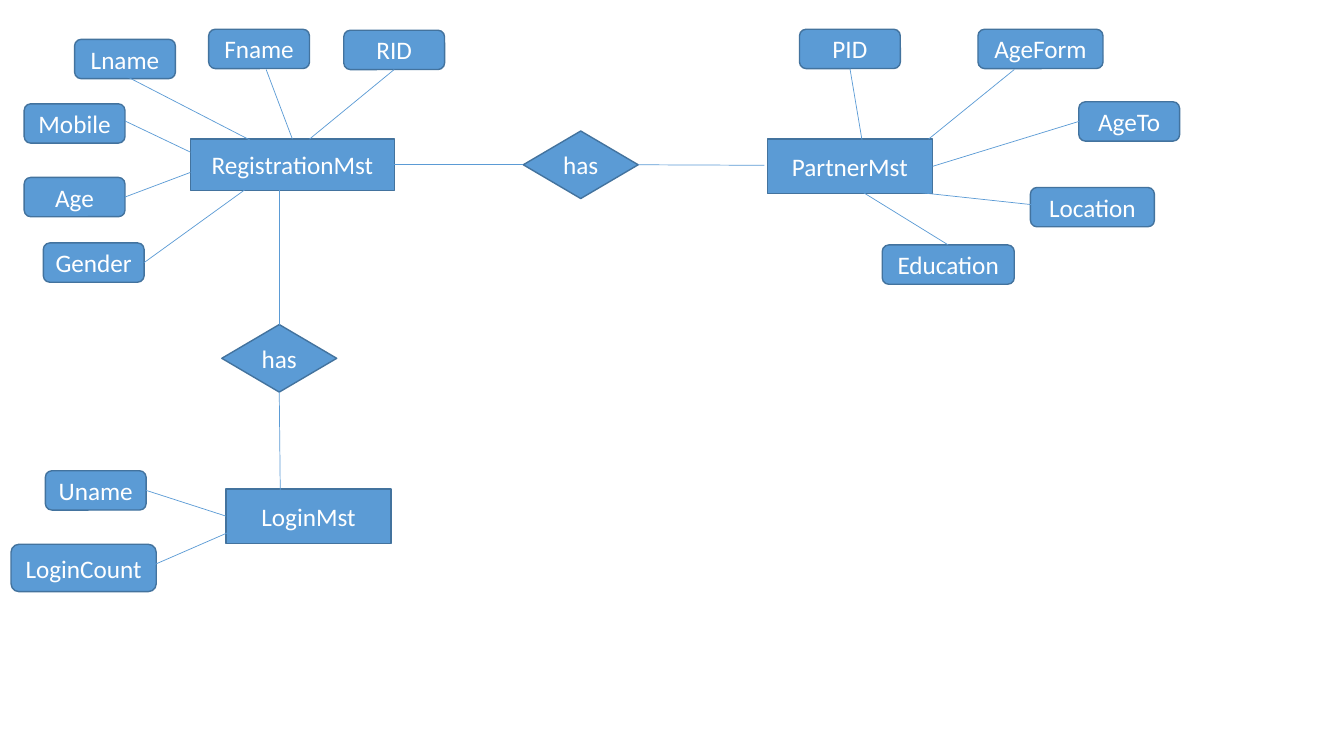
from dataclasses import dataclass
from enum import IntEnum

import pptx
import pptx.dml.color
import pptx.enum.shapes
import pptx.enum.text
import pptx.oxml.ns
import pptx.util
from lxml import etree

SLIDE_WIDTH, SLIDE_HEIGHT = pptx.util.Inches(13.33), pptx.util.Inches(7.5)
COLUMNS, ROWS = 133.3, 75
BLUE, DARK_BLUE, WHITE = "5B9BD5", "43739E", "FFFFFF"
SHAPES = pptx.enum.shapes.MSO_SHAPE


class Side(IntEnum):
    TOP = 0
    LEFT = 1
    BOTTOM = 2
    RIGHT = 3


@dataclass(frozen=True)
class Node:
    label: str
    left: float
    top: float
    width: float = 10
    height: float = 3.9
    kind: SHAPES = SHAPES.ROUNDED_RECTANGLE


@dataclass(frozen=True)
class Point:
    column: float
    row: float


@dataclass(frozen=True)
class Joint:
    node: Node
    side: Side


@dataclass(frozen=True)
class Link:
    start: Point | Joint
    end: Point | Joint


def entity(label: str, left: float, top: float, width: float = 16.4, height: float = 5.4) -> Node:
    return Node(label, left, top, width, height, SHAPES.RECTANGLE)


def relation(label: str, left: float, top: float) -> Node:
    return Node(label, left, top, 11.4, 6.7, SHAPES.FLOWCHART_DECISION)


registration = entity("RegistrationMst", 18.9, 13.8, 20.2, 5.1)
login = entity("LoginMst", 22.4, 48.5)
partner = entity("PartnerMst", 76.1, 13.8)

has_partner = relation("has", 51.9, 13)
has_login = relation("has", 22, 32.2)

rid = Node("RID", 34.1, 3)
fname = Node("Fname", 20.7, 2.9)
lname = Node("Lname", 7.4, 3.9)
mobile = Node("Mobile", 2.4, 10.3)
age = Node("Age", 2.4, 17.6)
gender = Node("Gender", 4.3, 24.1)
uname = Node("Uname", 4.5, 46.7)
login_count = Node("LoginCount", 1.1, 54, 14.4, 4.7)
pid = Node("PID", 79.3, 2.9)
age_from = Node("AgeForm", 97, 2.9, 12.4)
age_to = Node("AgeTo", 107, 10.1)
location = Node("Location", 102.2, 18.6, 12.3)
education = Node("Education", 87.5, 24.3, 13.1)

NODES = [
    registration, rid, fname, lname, mobile, age, gender,
    login, uname, login_count, has_partner,
    partner, pid, age_from, age_to, location, education, has_login,
]

LINKS = [
    Link(Joint(rid, Side.BOTTOM), Point(30.7, 13.8)),
    Link(Point(26.4, 6.9), Point(29, 13.8)),
    Link(Point(12.4, 7.5), Point(24.8, 13.9)),
    Link(Point(12.4, 12), Point(18.9, 15.1)),
    Link(Point(18.9, 17.1), Joint(age, Side.RIGHT)),
    Link(Point(24.6, 18.6), Joint(gender, Side.RIGHT)),
    Link(Joint(uname, Side.RIGHT), Joint(login, Side.LEFT)),
    Link(Point(14.2, 56.5), Point(22.7, 52.8)),
    Link(Point(27.7, 18.9), Joint(has_login, Side.TOP)),
    Link(Joint(has_login, Side.BOTTOM), Point(27.8, 49)),
    Link(Joint(registration, Side.RIGHT), Joint(has_partner, Side.LEFT)),
    Link(Joint(has_partner, Side.RIGHT), Point(75.8, 16.4)),
    Link(Joint(pid, Side.BOTTOM), Point(85.7, 15.1)),
    Link(Point(100.6, 6.9), Point(92.1, 13.8)),
    Link(Joint(age_to, Side.LEFT), Joint(partner, Side.RIGHT)),
    Link(Point(102.3, 20.3), Point(89.3, 18.9)),
    Link(Point(85.3, 18.9), Joint(education, Side.TOP)),
]


def x(columns: float) -> int:
    return round(SLIDE_WIDTH * columns / COLUMNS)


def y(rows: float) -> int:
    return round(SLIDE_HEIGHT * rows / ROWS)


def rgb(value: str) -> pptx.dml.color.RGBColor:
    return pptx.dml.color.RGBColor.from_string(value)


def write(frame, text: str, *, size: float = 18, color: str = WHITE, font: str = "Calibri") -> None:
    frame.vertical_anchor = pptx.enum.text.MSO_ANCHOR.MIDDLE
    paragraph = frame.paragraphs[0]
    paragraph.alignment = pptx.enum.text.PP_ALIGN.CENTER
    run = paragraph.add_run()
    run.text = text
    run.font.name = font
    run.font.size = pptx.util.Pt(size)
    run.font.color.rgb = rgb(color)


def draw_node(slide, node: Node):
    shape = slide.shapes.add_shape(
        node.kind, x(node.left), y(node.top), x(node.width), y(node.height))
    shape.shadow.inherit = False
    shape.fill.solid()
    shape.fill.fore_color.rgb = rgb(BLUE)
    shape.line.color.rgb = rgb(DARK_BLUE)
    shape.line.width = pptx.util.Pt(1)
    write(shape.text_frame, node.label)
    return shape


def position(end: Point | Joint) -> tuple[int, int]:
    if isinstance(end, Point):
        return x(end.column), y(end.row)
    across, down = {Side.TOP: (0.5, 0), Side.LEFT: (0, 0.5),
                    Side.BOTTOM: (0.5, 1), Side.RIGHT: (1, 0.5)}[end.side]
    node = end.node
    return x(node.left + across * node.width), y(node.top + down * node.height)


def draw_link(slide, link: Link, drawn: dict) -> None:
    line = slide.shapes.add_connector(
        pptx.enum.shapes.MSO_CONNECTOR.STRAIGHT, *position(link.start), *position(link.end))
    line.line.color.rgb = rgb(BLUE)
    line.line.width = pptx.util.Pt(0.5)
    etree.SubElement(line._element.spPr, pptx.oxml.ns.qn("a:effectLst"))
    for end, connect in ((link.start, line.begin_connect), (link.end, line.end_connect)):
        if isinstance(end, Joint):
            connect(drawn[end.node], int(end.side))


def main() -> None:
    deck = pptx.Presentation()
    deck.slide_width, deck.slide_height = SLIDE_WIDTH, SLIDE_HEIGHT
    slide = deck.slides.add_slide(deck.slide_layouts[6])
    drawn = {node: draw_node(slide, node) for node in NODES}
    for link in LINKS:
        draw_link(slide, link, drawn)
    deck.save("out.pptx")


if __name__ == "__main__":
    main()
